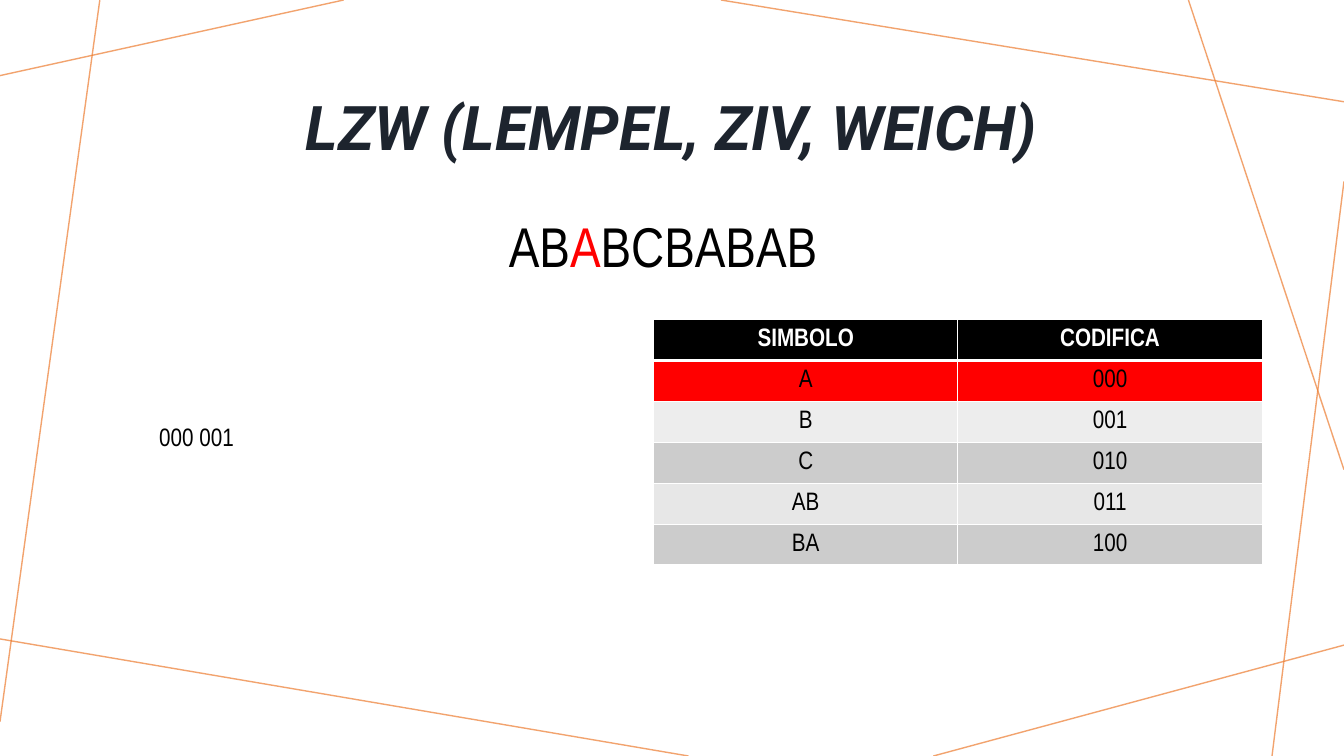
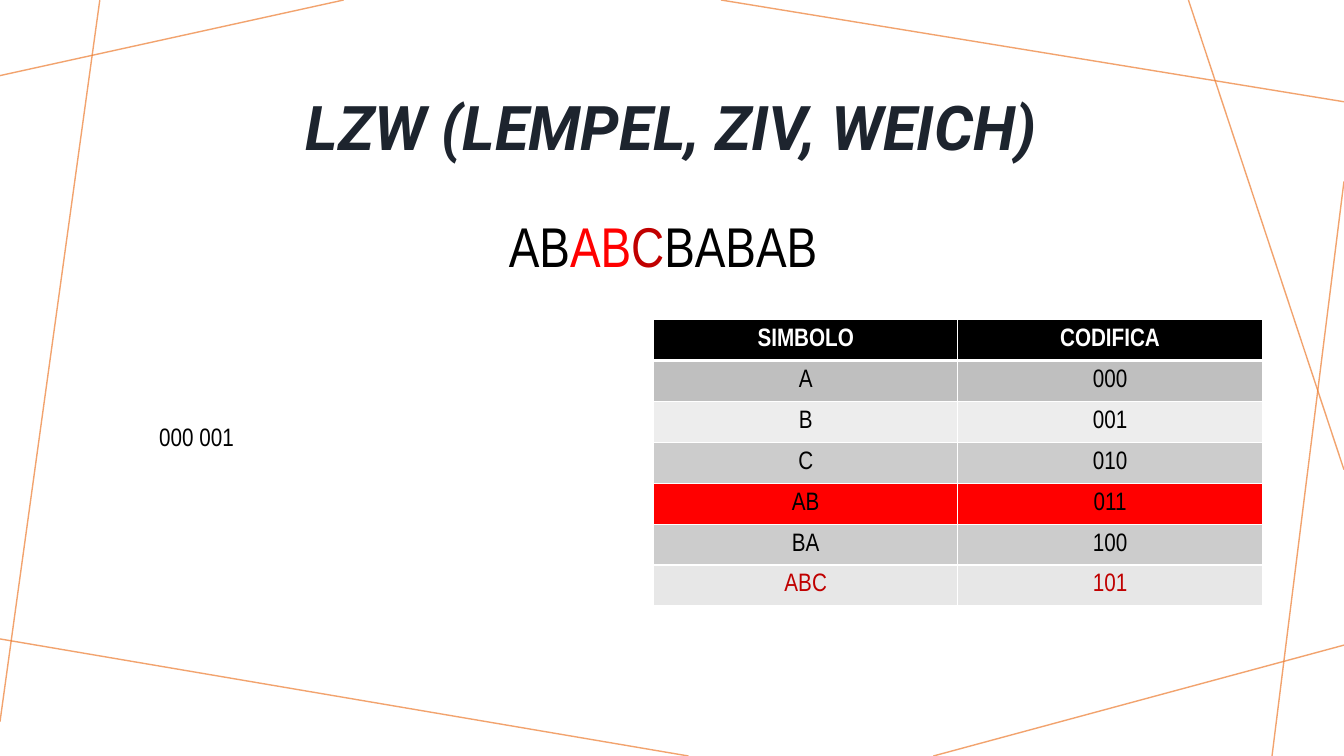
from lxml import etree
from pptx import Presentation
from pptx.dml.color import RGBColor
from pptx.enum.shapes import MSO_CONNECTOR
from pptx.enum.text import MSO_ANCHOR, PP_ALIGN
from pptx.oxml.ns import qn
from pptx.util import Pt

STRAIGHT = MSO_CONNECTOR.STRAIGHT
MIDDLE, TOP = MSO_ANCHOR.MIDDLE, MSO_ANCHOR.TOP
CENTER, LEFT = PP_ALIGN.CENTER, PP_ALIGN.LEFT

BLACK = RGBColor(0x00, 0x00, 0x00)
WHITE = RGBColor(0xFF, 0xFF, 0xFF)
RED = RGBColor(0xFF, 0x00, 0x00)
DARK_RED = RGBColor(0xC0, 0x00, 0x00)
NAVY = RGBColor(0x1D, 0x24, 0x2E)
ORANGE = RGBColor(0xED, 0x7D, 0x31)
GREY = RGBColor(0xBF, 0xBF, 0xBF)
MID_GREY = RGBColor(0xCC, 0xCC, 0xCC)
LIGHT_GREY = RGBColor(0xE7, 0xE7, 0xE7)
PALE_GREY = RGBColor(0xED, 0xED, 0xED)

TITLE_FONT, BODY_FONT = "Roboto", "Arial Narrow"
SLIDE_W, SLIDE_H = 960, 540
ROW_H = 29.2

# Boxes: left, top, width, height
TITLE_BOX = (90, 38.9, 780, 108.7)
MESSAGE_BOX = (356.4, 147.6, 247.7, 55.4)
OUTPUT_BOX = (106.6, 297.4, 360, 28.8)
TABLE_BOX = (466.8, 228.4, 434.8)  # height follows from the rows

# Background lines: x1, y1, x2, y2
LINES = [
    (245.5, 0, 0, 54),
    (71.3, 0, 0, 515.5),
    (491.8, SLIDE_H, 0, 456.4),
    (SLIDE_W, 460.8, 666.7, SLIDE_H),
    (SLIDE_W, 129.6, 908.6, SLIDE_H),
    (SLIDE_W, 335.5, 848.9, 0),
    (SLIDE_W, 72.7, 515, 0),
]


def add_run(p, text, size, color, font=BODY_FONT, bold=False, italic=False):
    r = p.add_run()
    r.text = text
    f = r.font
    f.name, f.size, f.bold, f.italic = font, Pt(size), bold, italic
    f.color.rgb = color


def add_text(slide, box, runs, size, align=LEFT, anchor=TOP, spacing=1.0, **style):
    """Place one paragraph of (text, colour) runs in the box."""
    tf = slide.shapes.add_textbox(*map(Pt, box)).text_frame
    tf.word_wrap = True
    tf.vertical_anchor = anchor
    p = tf.paragraphs[0]
    p.alignment, p.line_spacing = align, spacing
    for text, color in runs:
        add_run(p, text, size, color, **style)


def add_background(slide):
    for ends in LINES:
        line = slide.shapes.add_connector(STRAIGHT, *map(Pt, ends))
        line.line.color.rgb = ORANGE
        line.line.width = Pt(1)
        sppr = line._element.spPr
        color = sppr.find(".//" + qn("a:srgbClr"))
        etree.SubElement(color, qn("a:alpha"), val="70000")
        etree.SubElement(sppr, qn("a:effectLst"))


def set_borders(cell, top, bottom):
    """Draw white borders; top and bottom are widths in points."""
    tcpr = cell._tc.get_or_add_tcPr()
    for tag, width in (("lnL", 1), ("lnR", 1), ("lnT", top), ("lnB", bottom)):
        ln = etree.SubElement(tcpr, qn("a:" + tag), w=str(Pt(width)))
        fill = etree.SubElement(ln, qn("a:solidFill"))
        etree.SubElement(fill, qn("a:srgbClr"), val=str(WHITE))


def add_code_table(slide, box, entries):
    """Fill the dictionary table from (symbol, code, fill, text colour) entries."""
    left, top, width = box
    rows = [("SIMBOLO", "CODIFICA", BLACK, WHITE)] + entries
    table = slide.shapes.add_table(len(rows), 2, Pt(left), Pt(top), Pt(width),
                                   Pt(ROW_H * len(rows))).table
    table.first_row = table.horz_banding = False
    for i, (symbol, code, fill, color) in enumerate(rows):
        table.rows[i].height = Pt(ROW_H)
        for j, text in enumerate((symbol, code)):
            cell = table.cell(i, j)
            set_borders(cell, 3 if i == 1 else 1, 3 if i == 0 else 1)
            cell.fill.solid()
            cell.fill.fore_color.rgb = fill
            cell.vertical_anchor = MIDDLE
            p = cell.text_frame.paragraphs[0]
            p.alignment = CENTER
            add_run(p, text, 18, color, bold=i == 0)


def add_step(prs, message, entries):
    """Add one step of the encoding: message, dictionary and output so far."""
    slide = prs.slides.add_slide(prs.slide_layouts[6])
    add_background(slide)
    add_text(slide, TITLE_BOX, [("LZW (LEMPEL, ZIV, WEICH)", NAVY)], 44, CENTER,
             MIDDLE, 0.9, font=TITLE_FONT, bold=True, italic=True)
    add_text(slide, MESSAGE_BOX, message, 40)
    add_code_table(slide, TABLE_BOX, entries)
    add_text(slide, OUTPUT_BOX, [("000 001", BLACK)], 18)


def dictionary(current, added=()):
    """List the known codes, the current symbol on red, then the added ones."""
    known = [("A", "000", GREY), ("B", "001", PALE_GREY), ("C", "010", MID_GREY),
             ("AB", "011", LIGHT_GREY), ("BA", "100", MID_GREY)]
    entries = [(symbol, code, RED if symbol == current else fill, BLACK)
               for symbol, code, fill in known]
    return entries + [(symbol, code, LIGHT_GREY, DARK_RED) for symbol, code in added]


def main():
    prs = Presentation()
    prs.slide_width, prs.slide_height = Pt(SLIDE_W), Pt(SLIDE_H)
    add_step(prs, [("AB", BLACK), ("A", RED), ("BCBABAB", BLACK)], dictionary("A"))
    add_step(prs, [("AB", BLACK), ("AB", RED), ("C", DARK_RED), ("BABAB", BLACK)],
             dictionary("AB", [("ABC", "101")]))
    prs.save("out.pptx")


if __name__ == "__main__":
    main()
